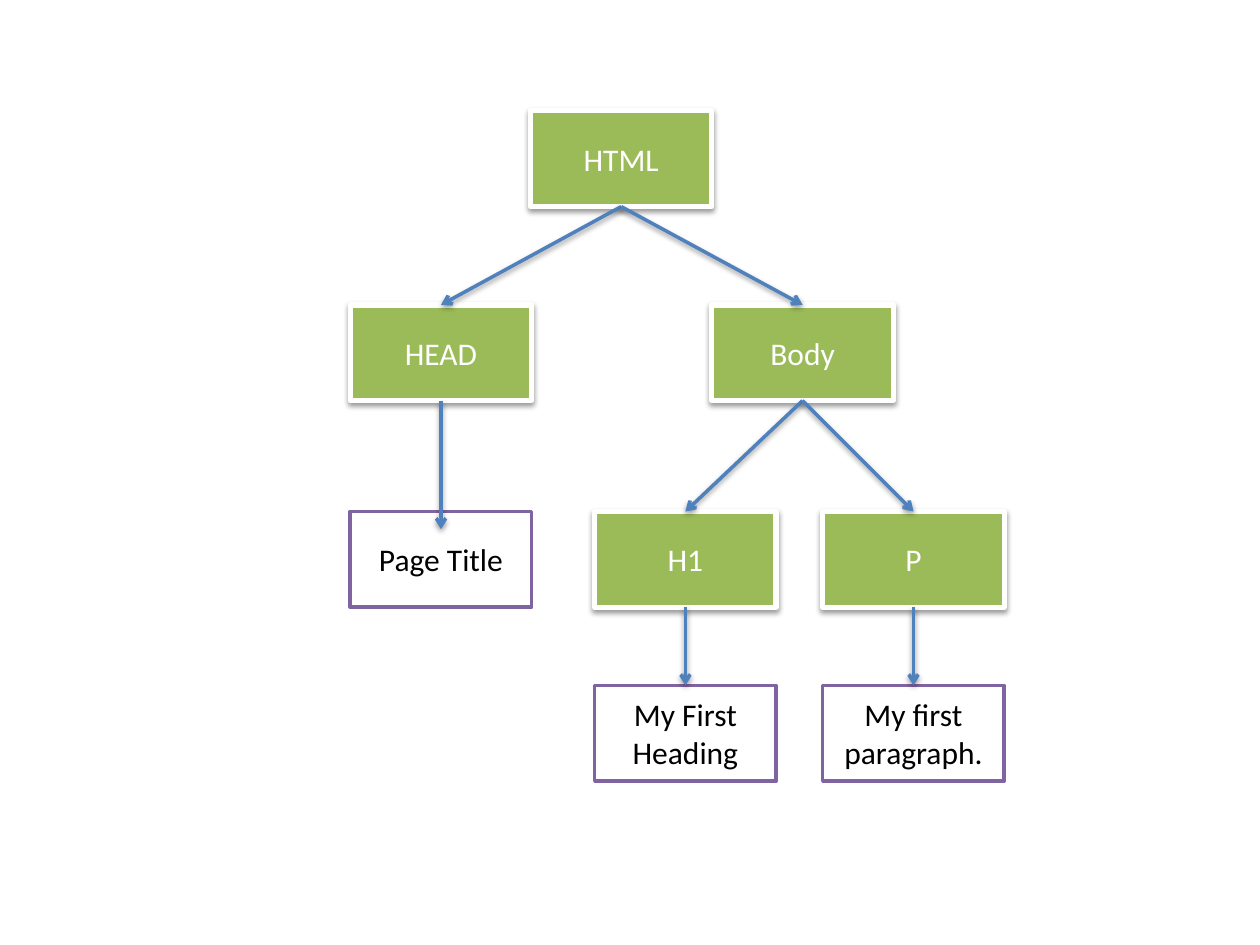
from lxml import etree
from pptx import Presentation
from pptx import util as u
from pptx.dml.color import RGBColor
from pptx.enum import shapes, text
from pptx.oxml import ns

COLORS = {"green": "9BBB59", "white": "FFFFFF", "purple": "8064A2",
          "black": "000000", "blue": "4F81BD"}
BOX_WIDTH, BOX_HEIGHT = 1.44, 0.76
TOP, BOTTOM = 0, 2  # connection sites of a rectangle


def color(name):
    return RGBColor.from_string(COLORS[name])


class TreeSlide:
    """Holds the style and the current slide."""
    font, size = "Calibri", 18
    # kind: fill, outline, outline width, text, shadow
    kinds = {"element": ("green", "white", 3, "white", True),
             "content": ("white", "purple", 2, "black", False)}

    def __init__(self, deck):
        self.page = deck.slides.add_slide(deck.slide_layouts[6])

    def shadow(self, effects):
        outer = etree.SubElement(effects, ns.qn("a:outerShdw"), blurRad="40000",
                                 dist="20000", dir="5400000", rotWithShape="0")
        tint = etree.SubElement(outer, ns.qn("a:srgbClr"), val=COLORS["black"])
        etree.SubElement(tint, ns.qn("a:alpha"), val="38000")

    def node(self, label, kind, left, top):
        fill, outline, width, ink, shaded = self.kinds[kind]
        box = self.page.shapes.add_shape(
            shapes.MSO_SHAPE.RECTANGLE, u.Inches(left), u.Inches(top),
            u.Inches(BOX_WIDTH), u.Inches(BOX_HEIGHT))
        box.shadow.inherit = False
        box.fill.solid()
        box.fill.fore_color.rgb = color(fill)
        box.line.color.rgb = color(outline)
        box.line.width = u.Pt(width)
        if shaded:
            self.shadow(box._element.spPr.find(ns.qn("a:effectLst")))
        frame = box.text_frame
        frame.text = label
        frame.word_wrap = True
        frame.vertical_anchor = text.MSO_ANCHOR.MIDDLE
        para = frame.paragraphs[0]
        para.alignment = text.PP_ALIGN.CENTER
        span = para.runs[0]
        span.font.name, span.font.size = self.font, u.Pt(self.size)
        span.font.color.rgb = color(ink)
        return box

    def arrow(self, parent, child, overlap=0):
        line = self.page.shapes.add_connector(
            shapes.MSO_CONNECTOR.STRAIGHT,
            parent.left + parent.width // 2, parent.top + parent.height,
            child.left + child.width // 2, child.top + u.Inches(overlap))
        line.begin_connect(parent, BOTTOM)
        if not overlap:
            line.end_connect(child, TOP)
        line.line.color.rgb = color("blue")
        line.line.width = u.Pt(2)
        etree.SubElement(line.line._get_or_add_ln(), ns.qn("a:tailEnd"), type="arrow")
        self.shadow(etree.SubElement(line._element.spPr, ns.qn("a:effectLst")))


deck = Presentation()
deck.slide_width, deck.slide_height = u.Inches(10), u.Inches(7.5)
tree = TreeSlide(deck)

# Boxes: label, kind, left, top
NODES = [("HTML", "element", 4.21, 0.88),
         ("HEAD", "element", 2.78, 2.42),
         ("Body", "element", 5.65, 2.42),
         ("Page Title", "content", 2.78, 4.06),
         ("H1", "element", 4.72, 4.06),
         ("P", "element", 6.53, 4.06),
         ("My First Heading", "content", 4.72, 5.44),
         ("My first paragraph.", "content", 6.53, 5.44)]
boxes = {node[0]: tree.node(*node) for node in NODES}

# Arrows: parent, child, reach into the child box
ARROWS = [("HTML", "HEAD", 0), ("HTML", "Body", 0),
          ("HEAD", "Page Title", 0.14),
          ("Body", "H1", 0), ("Body", "P", 0),
          ("H1", "My First Heading", 0), ("P", "My first paragraph.", 0)]
for parent, child, overlap in ARROWS:
    tree.arrow(boxes[parent], boxes[child], overlap)

deck.save("out.pptx")
